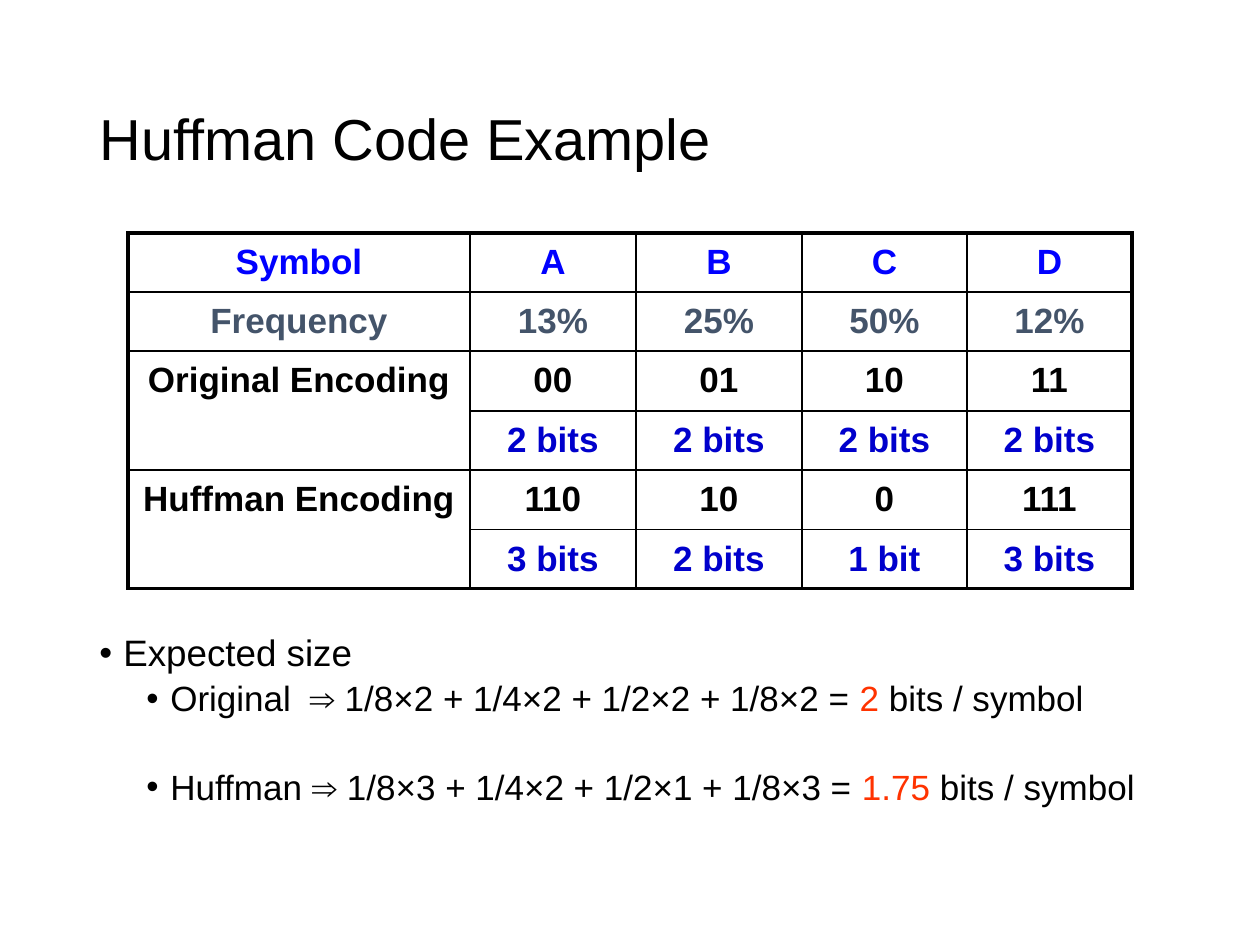
from lxml.etree import SubElement
from pptx import Presentation
from pptx.dml.color import RGBColor
from pptx.enum.text import MSO_ANCHOR as ANCHOR, PP_ALIGN as ALIGN
from pptx.oxml.ns import qn
from pptx.util import Emu, Pt

PX = 914400 // 126
BLACK, BLUE, NAVY = "000000", "0000FF", "0000CC"
SLATE, RED = "44546A", "FF3300"

COLUMNS = [342, 166, 166, 165, 165]
ROW_HEIGHTS = [56, 59, 60, 59, 60, 59]
# Colour of the row, then its cells; an empty label joins the cell above
ROWS = [
    (BLUE, ["Symbol", "A", "B", "C", "D"]),
    (SLATE, ["Frequency", "13%", "25%", "50%", "12%"]),
    (BLACK, ["Original Encoding", "00", "01", "10", "11"]),
    (NAVY, ["", "2 bits", "2 bits", "2 bits", "2 bits"]),
    (BLACK, ["Huffman Encoding", "110", "10", "0", "111"]),
    (NAVY, ["", "3 bits", "2 bits", "1 bit", "3 bits"]),
]


def px(n):
    return Emu(n * PX)


def rgb(value):
    return RGBColor.from_string(value)


def add_text(p, text, size=20, color=BLACK, bold=False, spacing=None):
    r = p.add_run()
    r.text = text
    font = r.font
    font.name, font.size, font.bold = "Arial", Pt(size), bold
    font.color.rgb = rgb(color)
    if spacing:
        font._element.set("spc", str(spacing * 100))


def add_box(slide, x, y, w, h, anchor=ANCHOR.TOP):
    tf = slide.shapes.add_textbox(px(x), px(y), px(w), px(h)).text_frame
    tf.word_wrap = True
    tf.vertical_anchor = anchor
    return tf


def format_bullet(p, indent, before=0):
    pPr = p._p.get_or_add_pPr()
    pPr.set("marL", str(px(indent)))
    pPr.set("indent", str(px(-24)))
    SubElement(pPr, qn("a:buFont"), typeface="Arial")
    SubElement(pPr, qn("a:buChar"), char="•")
    p.line_spacing = 0.9
    p.space_before = Pt(before)


def set_borders(cell, widths):
    tcPr = cell._tc.get_or_add_tcPr()
    for side, width in widths.items():
        ln = SubElement(tcPr, qn(f"a:ln{side}"), w=str(Pt(width)))
        fill = SubElement(ln, qn("a:solidFill"))
        SubElement(fill, qn("a:srgbClr"), val=BLACK)


def add_code_table(slide, x, y):
    last_row, last_col = len(ROWS) - 1, len(COLUMNS) - 1
    frame = slide.shapes.add_table(len(ROWS), len(COLUMNS), px(x), px(y),
                                   px(sum(COLUMNS)), px(sum(ROW_HEIGHTS)))
    table = frame.table
    table.first_row = table.horz_banding = False
    for column, width in zip(table.columns, COLUMNS):
        column.width = px(width)
    for row, height in zip(table.rows, ROW_HEIGHTS):
        row.height = px(height)

    # Labels that cover two rows
    for i, (_, texts) in enumerate(ROWS):
        if not texts[0]:
            table.cell(i - 1, 0).merge(table.cell(i, 0))

    # Cell text, with a heavy outer frame and thin inner lines
    for i, (color, texts) in enumerate(ROWS):
        for j, text in enumerate(texts):
            cell = table.cell(i, j)
            bottom = i + (cell.span_height if cell.is_merge_origin else 1) - 1
            edges = {"L": j == 0, "R": j == last_col,
                     "T": i == 0, "B": bottom == last_row}
            set_borders(cell, {side: 2.25 if outer else 1
                               for side, outer in edges.items()})
            cell.fill.background()
            if text:
                p = cell.text_frame.paragraphs[0]
                p.alignment = ALIGN.CENTER
                p.line_spacing = 1.1
                add_text(p, text, color=color, bold=True)


def add_size_line(tf, name, gap, formula, result, before):
    p = tf.add_paragraph()
    p.level = 1
    format_bullet(p, 71, before)
    add_text(p, name)
    add_text(p, " ", spacing=gap)
    add_text(p, f"⇒ {formula} = ")
    add_text(p, result, color=RED)
    add_text(p, " bits / symbol")


def main():
    prs = Presentation()
    prs.slide_width, prs.slide_height = px(1260), px(945)
    slide = prs.slides.add_slide(prs.slide_layouts[6])

    # Title
    p = add_box(slide, 87, 50, 1086, 183, ANCHOR.MIDDLE).paragraphs[0]
    p.line_spacing = 0.9
    add_text(p, "Huffman Code Example", size=33)

    # Table of codes
    add_code_table(slide, 128, 233)

    # Expected sizes
    tf = add_box(slide, 87, 629, 1086, 222)
    p = tf.paragraphs[0]
    format_bullet(p, 24)
    add_text(p, "Expected size", size=21)
    add_size_line(tf, "Original", 5, "1/8×2 + 1/4×2 + 1/2×2 + 1/8×2", "2", 3.8)
    add_size_line(tf, "Huffman", 0, "1/8×3 + 1/4×2 + 1/2×1 + 1/8×3", "1.75", 29)

    prs.save("out.pptx")


if __name__ == "__main__":
    main()
